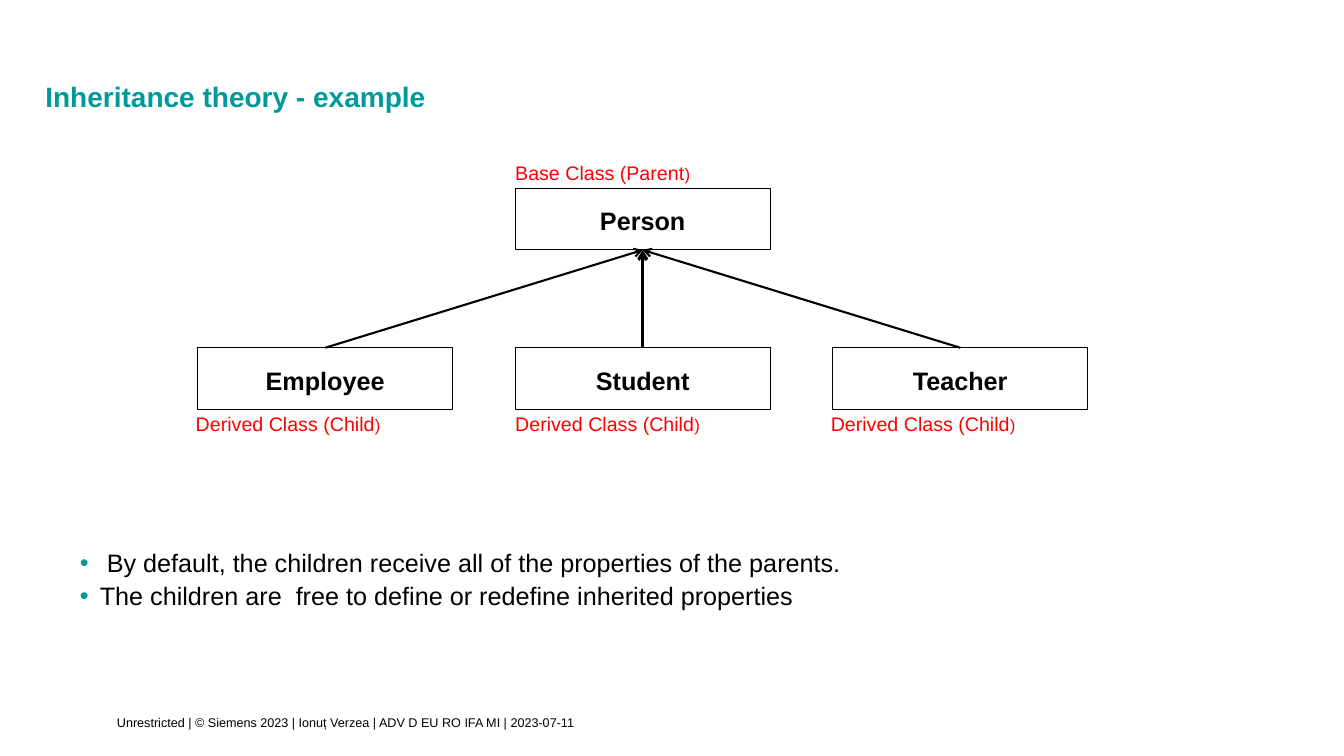
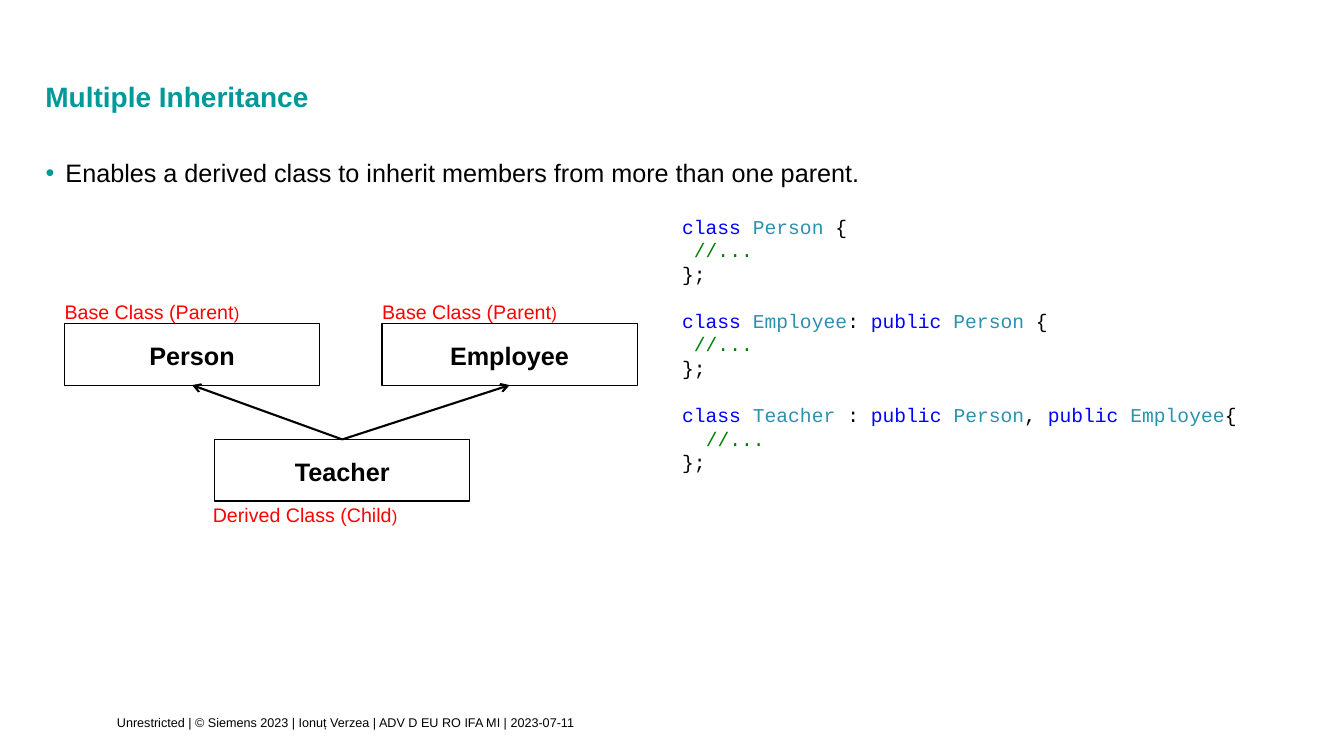
from lxml import etree
from pptx import Presentation, util as u
from pptx.dml.color import RGBColor as Rgb
from pptx.enum import shapes, text
from pptx.oxml.ns import qn

Pt = u.Pt
Align, Anchor = text.PP_ALIGN, text.MSO_ANCHOR


class Theme:
    teal, black, white, red = "009999", "000000", "FFFFFF", "FF0000"
    word, kind, note = "0000FF", "2B91AF", "008000"
    sans, mono = "Arial", "Courier New"
    head, body, label, small, foot = 20, 18, 14, 12, 9


def write(shape, paras, size=Theme.body, color=Theme.black, font=Theme.sans,
          bold=False, align=Align.LEFT, anchor=Anchor.TOP, inset=(0, 0, 0, 0),
          space=1.1, bullet=False):
    """Fill a shape; a paragraph is a string or a list of (text, format) runs."""
    frame = shape.text_frame
    frame.word_wrap = True
    frame.auto_size = text.MSO_AUTO_SIZE.NONE
    frame.vertical_anchor = anchor
    for side, gap in zip(("left", "top", "right", "bottom"), inset):
        setattr(frame, "margin_" + side, Pt(gap))
    for i, runs in enumerate(paras):
        para = frame.add_paragraph() if i else frame.paragraphs[0]
        para.alignment, para.line_spacing = align, space
        if bullet:
            props = para._p.get_or_add_pPr()
            props.set("marL", str(Pt(14.4)))
            props.set("indent", str(-Pt(14.2)))
            tint = etree.SubElement(props, qn("a:buClr"))
            etree.SubElement(tint, qn("a:srgbClr"), val=Theme.teal)
            etree.SubElement(props, qn("a:buFont"), typeface=Theme.sans)
            etree.SubElement(props, qn("a:buChar"), char="•")
        for words, form in [(runs, {})] if isinstance(runs, str) else runs:
            run = para.add_run()
            run.text = words
            run.font.name, run.font.bold = font, bold
            run.font.size = Pt(form.get("size", size))
            run.font.color.rgb = Rgb.from_string(form.get("color", color))


def area(slide, *place):
    return slide.shapes.add_textbox(*map(Pt, place))


FOOT = "Unrestricted | © Siemens 2023 | Ionuț Verzea | ADV D EU RO IFA MI | 2023-07-11"
BASE, CHILD = "Base Class (Parent", "Derived Class (Child"
WIDE, HIGH, STEP = 182.2, 44, 226.8
LEFT1, LEFT2 = 141.2, 46.1
ROW1, ROW2 = 248.4, 231.1

# Each class: name, left, top, label, label left, label top
trees = [
    ("Inheritance theory - example",
     [("Person", LEFT1 + STEP, 134.6, BASE, LEFT1 + STEP, 113)]
     + [(name, LEFT1 + i * STEP, ROW1, CHILD, LEFT1 + i * STEP - shift, ROW1 + HIGH)
        for i, (name, shift) in enumerate(
            [("Employee", 1.4), ("Student", 0), ("Teacher", 1.4)])],
     [("Student", "Person", 2.25), ("Employee", "Person", 1.5),
      ("Teacher", "Person", 1.5)],
     (56.9, 388.8, 788.4, 59.8),
     [" By default, the children receive all of the properties of the parents.",
      "The children are  free to define or redefine inherited properties"]),
    ("Multiple Inheritance",
     [(name, LEFT2 + i * STEP, ROW2, BASE, LEFT2 + i * STEP, 212.4)
      for i, name in enumerate(["Person", "Employee"])]
     + [("Teacher", 153.4, 313.9, CHILD, 152, 313.9 + HIGH)],
     [("Teacher", "Person", 1.5), ("Teacher", "Employee", 1.5)],
     (32.4, 110.2, 645.8, 38.9),
     ["Enables a derived class to inherit members from more than one parent."]),
]

deck = Presentation()
deck.slide_width, deck.slide_height = Pt(960), Pt(540)

for title, nodes, links, place, points in trees:
    slide = deck.slides.add_slide(deck.slide_layouts[5])
    head = slide.shapes.title
    head.left, head.top, head.width, head.height = map(Pt, (32.4, 37.4, 776.9, 45.4))
    write(head, [title], size=Theme.head, color=Theme.teal, bold=True,
          anchor=Anchor.BOTTOM, inset=(0, 0, 25.2, 1.4), space=0.9)

    boxes = {}
    for name, left, top, label, x, y in nodes:
        box = slide.shapes.add_shape(shapes.MSO_SHAPE.RECTANGLE,
                                     *map(Pt, (left, top, WIDE, HIGH)))
        box.shadow.inherit = False
        box.fill.solid()
        box.fill.fore_color.rgb = Rgb.from_string(Theme.white)
        box.line.color.rgb = Rgb.from_string(Theme.black)
        box.line.width = Pt(0.75)
        write(box, [name], bold=True, align=Align.CENTER, anchor=Anchor.MIDDLE,
              inset=(8.6, 4.3, 8.6, 4.3))
        boxes[name] = box
        write(area(slide, x, y, 184, 17.3),
              [[(label, {}), (")", {"size": Theme.small})]],
              size=Theme.label, color=Theme.red)

    for child, parent, width in links:
        link = slide.shapes.add_connector(shapes.MSO_CONNECTOR.STRAIGHT, 0, 0, 0, 0)
        link.begin_connect(boxes[child], 0)
        link.end_connect(boxes[parent], 2)
        link.line.color.rgb = Rgb.from_string(Theme.black)
        link.line.width = Pt(width)
        etree.SubElement(link.line._get_or_add_ln(), qn("a:tailEnd"), type="arrow")
        etree.SubElement(link._element.spPr, qn("a:effectLst"))

    write(area(slide, *place), points, bullet=True)
    write(area(slide, 83.5, 496.8, 725.8, 43.2), [FOOT], size=Theme.foot,
          anchor=Anchor.MIDDLE, inset=(0, 0, 0, 5), space=1.0)

# Code beside the second tree; bars part the coloured pieces
code = [
    "class |Person| {", " |//...", "};",
    "class |Employee|: |public |Person| {", " |//...", "};",
    "class |Teacher| : |public |Person|, |public |Employee|{", "  |//...", "};",
]
tints = {"class ": Theme.word, "public ": Theme.word, "//...": Theme.note,
         "Person": Theme.kind, "Employee": Theme.kind, "Teacher": Theme.kind}
pitch = Pt(16.8)
panel = area(slide, 480.2, 149.8, 480, 193.7)
write(panel,
      [[(part, {"color": tints.get(part, Theme.black)}) for part in line.split("|")]
       for line in code],
      size=Theme.label, font=Theme.mono, inset=(7.2, 3.6, 7.2, 3.6), space=pitch)
for para in panel.text_frame.paragraphs[3::3]:
    para.space_before = pitch

deck.save("out.pptx")
